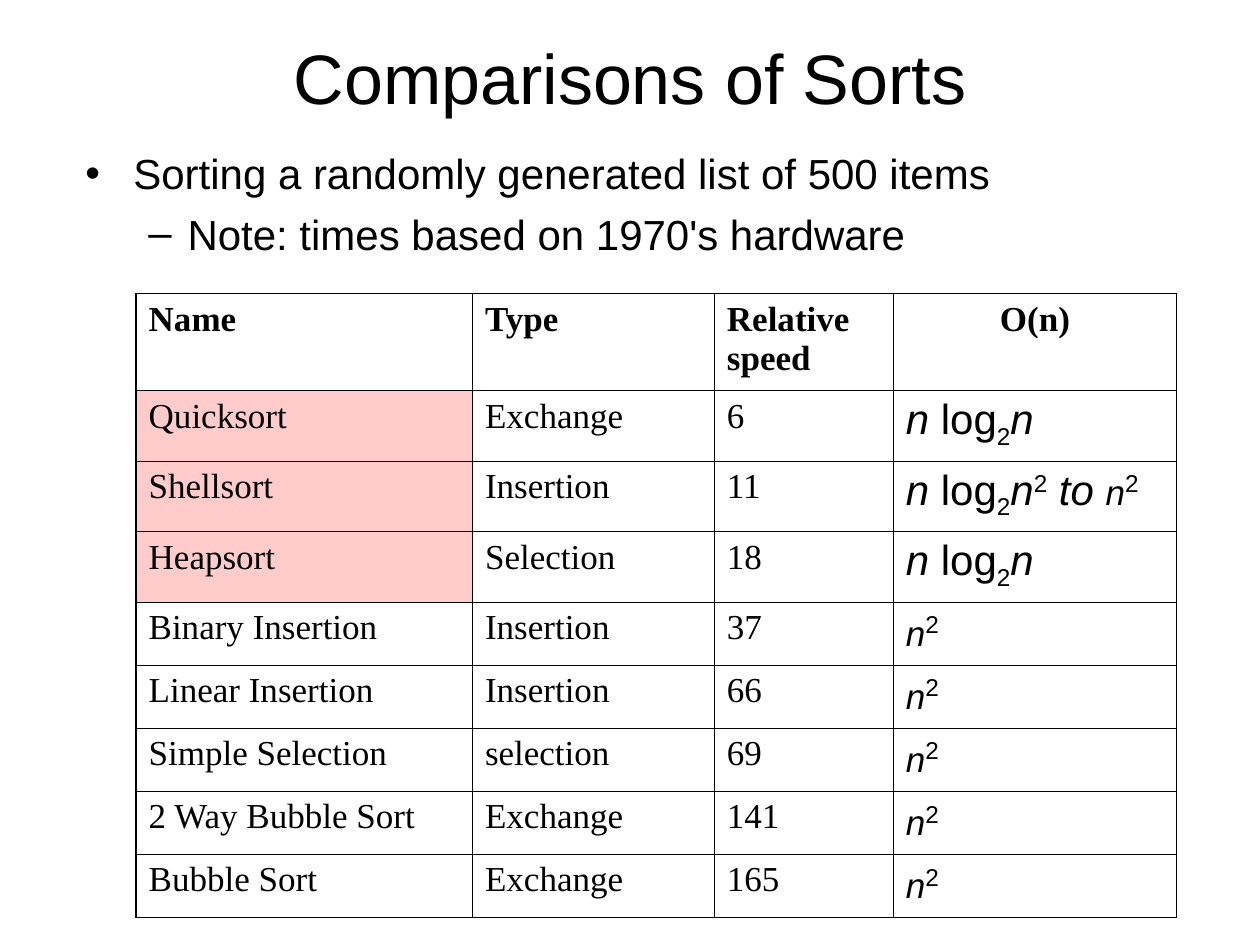
from lxml.etree import SubElement
from pptx import Presentation
from pptx.dml.color import RGBColor
from pptx.enum.text import MSO_ANCHOR, MSO_AUTO_SIZE, PP_ALIGN
from pptx.oxml.ns import qn
from pptx.util import Inches, Pt

BLACK = RGBColor(0x00, 0x00, 0x00)
PINK = RGBColor(0xFF, 0x99, 0x99)
SANS, SERIF = "Arial", "Times New Roman"
THIN, THICK = 0.45, 0.96

TITLE = "Comparisons of Sorts"
BULLETS = [
    ("Sorting a randomly generated list of 500 items", "•", 0.38, 0.38),
    ("Note: times based on 1970's hardware", "–", 0.81, 0.31),
]

ITALIC = {"italic": True}
SUB, SUPER = {"baseline": -25}, {"baseline": 30}
SMALL_N = ("n", {"italic": True, "size": 20})
N_LOG_N = [("n", ITALIC), (" log", {}), ("2", SUB), ("n", ITALIC)]
N_SQUARED = [SMALL_N, ("2", SUPER)]
SHELL_ORDER = N_LOG_N + [("2", SUPER), (" to ", ITALIC)] + N_SQUARED

HEADERS = ["Name", "Type", "Relative speed", "O(n)"]
SORTS = [
    ("Quicksort", "Exchange", "6", N_LOG_N),
    ("Shellsort", "Insertion", "11", SHELL_ORDER),
    ("Heapsort", "Selection", "18", N_LOG_N),
    ("Binary Insertion", "Insertion", "37", N_SQUARED),
    ("Linear Insertion", "Insertion", "66", N_SQUARED),
    ("Simple Selection", "selection", "69", N_SQUARED),
    ("2 Way Bubble Sort", "Exchange", "141", N_SQUARED),
    ("Bubble Sort", "Exchange", "165", N_SQUARED),
]
FAST_SORTS = 3
COLUMN_WIDTHS = [2.67, 1.92, 1.42, 2.25]
ROW_HEIGHTS = [0.77] + [0.56] * FAST_SORTS + [0.5] * (len(SORTS) - FAST_SORTS)


def add_span(para, text, size=24, font=SANS, bold=False, italic=False, baseline=0):
    span = para.add_run()
    span.text = text
    span.font.size = Pt(size)
    span.font.name = font
    span.font.bold = bold
    span.font.italic = italic
    span.font.color.rgb = BLACK
    if baseline:
        span.font._element.set("baseline", str(baseline * 1000))


def add_bullet(para, mark, margin, hanging):
    props = para._p.get_or_add_pPr()
    props.set("marL", str(Inches(margin)))
    props.set("indent", str(-Inches(hanging)))
    SubElement(props, qn("a:buFont"), typeface=SANS)
    SubElement(props, qn("a:buChar"), char=mark)


def add_borders(cell, widths):
    props = cell._tc.get_or_add_tcPr()
    for side, width in zip("LRTB", widths):
        line = SubElement(props, qn(f"a:ln{side}"), w=str(Pt(width)))
        fill = SubElement(line, qn("a:solidFill"))
        SubElement(fill, qn("a:srgbClr"), val=str(BLACK))


def add_title(page):
    title = page.shapes.title
    title.left, title.top = Inches(0.5), Inches(0.3)
    title.width, title.height = Inches(9), Inches(0.62)
    frame = title.text_frame
    frame.auto_size = MSO_AUTO_SIZE.NONE
    frame.vertical_anchor = MSO_ANCHOR.MIDDLE
    para = frame.paragraphs[0]
    para.alignment = PP_ALIGN.CENTER
    add_span(para, TITLE, size=40)


def add_bullets(page):
    box = page.shapes.add_textbox(Inches(0.58), Inches(1.08), Inches(8.42), Inches(1))
    frame = box.text_frame
    frame.word_wrap = True
    frame.margin_top = Inches(0.09)
    for index, (text, mark, margin, hanging) in enumerate(BULLETS):
        para = frame.add_paragraph() if index else frame.paragraphs[0]
        add_bullet(para, mark, margin, hanging)
        if index:
            para.level = index
            para.space_before = Pt(6)
        add_span(para, text)


def add_sort_table(page):
    rows, columns = len(ROW_HEIGHTS), len(COLUMN_WIDTHS)
    table = page.shapes.add_table(
        rows, columns, Inches(1.08), Inches(2.33),
        Inches(sum(COLUMN_WIDTHS)), Inches(sum(ROW_HEIGHTS))).table
    table.first_row = table.horz_banding = False
    for column, width in zip(table.columns, COLUMN_WIDTHS):
        column.width = Inches(width)
    for row, height in zip(table.rows, ROW_HEIGHTS):
        row.height = Inches(height)

    for r, values in enumerate([HEADERS] + SORTS):
        for c, value in enumerate(values):
            cell = table.cell(r, c)
            add_borders(cell, [
                THICK if c == 0 else THIN,
                THICK if c == columns - 1 else THIN,
                THICK if r < 2 else THIN,
                THICK if r in (0, rows - 1) else THIN,
            ])
            if c == 0 and 1 <= r <= FAST_SORTS:
                cell.fill.solid()
                cell.fill.fore_color.rgb = PINK
                color = cell._tc.tcPr.find(qn("a:solidFill"))[0]
                SubElement(color, qn("a:alpha"), val="50000")
            else:
                cell.fill.background()
            para = cell.text_frame.paragraphs[0]
            if isinstance(value, str):
                add_span(para, value, size=20, font=SERIF, bold=r == 0)
            else:
                for text, style in value:
                    add_span(para, text, **style)
    table.cell(0, columns - 1).text_frame.paragraphs[0].alignment = PP_ALIGN.CENTER


def main():
    deck = Presentation()
    deck.slide_width, deck.slide_height = Inches(10), Inches(7.5)
    page = deck.slides.add_slide(deck.slide_layouts[5])
    add_title(page)
    add_bullets(page)
    add_sort_table(page)
    deck.save("out.pptx")


if __name__ == "__main__":
    main()
